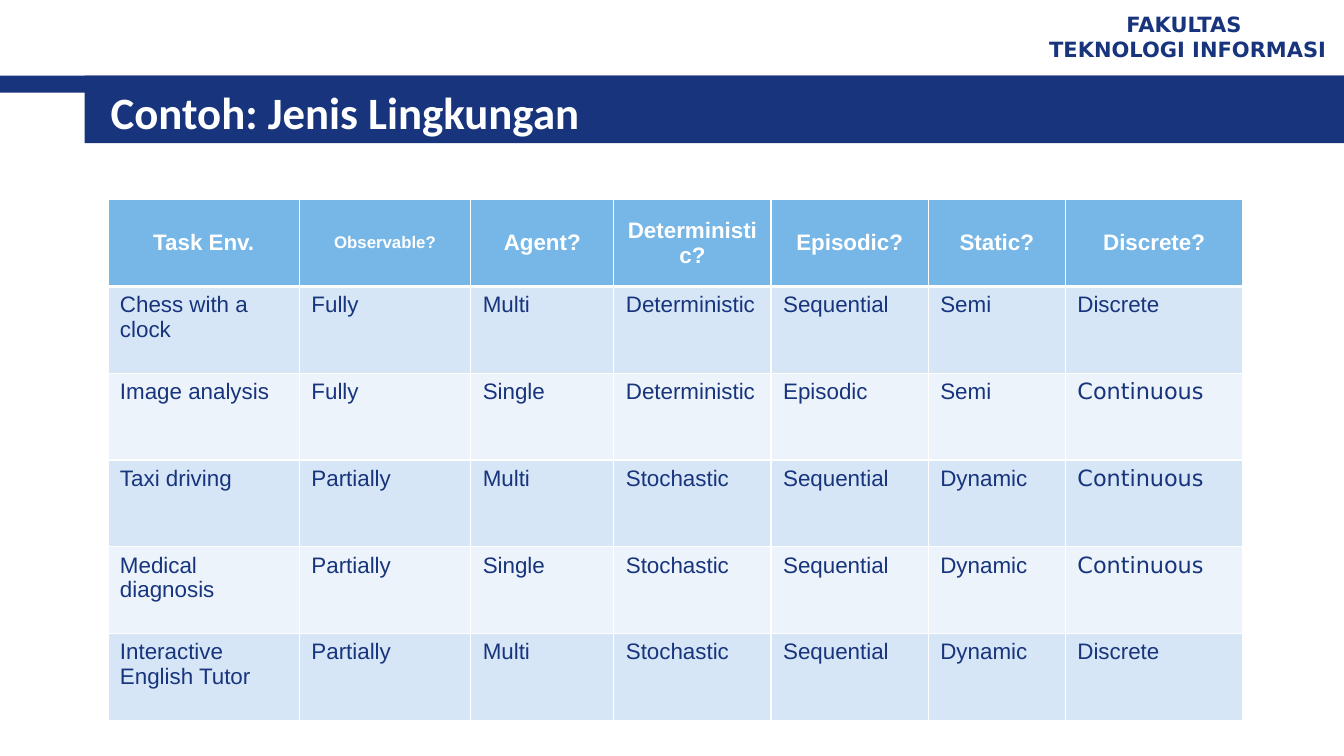
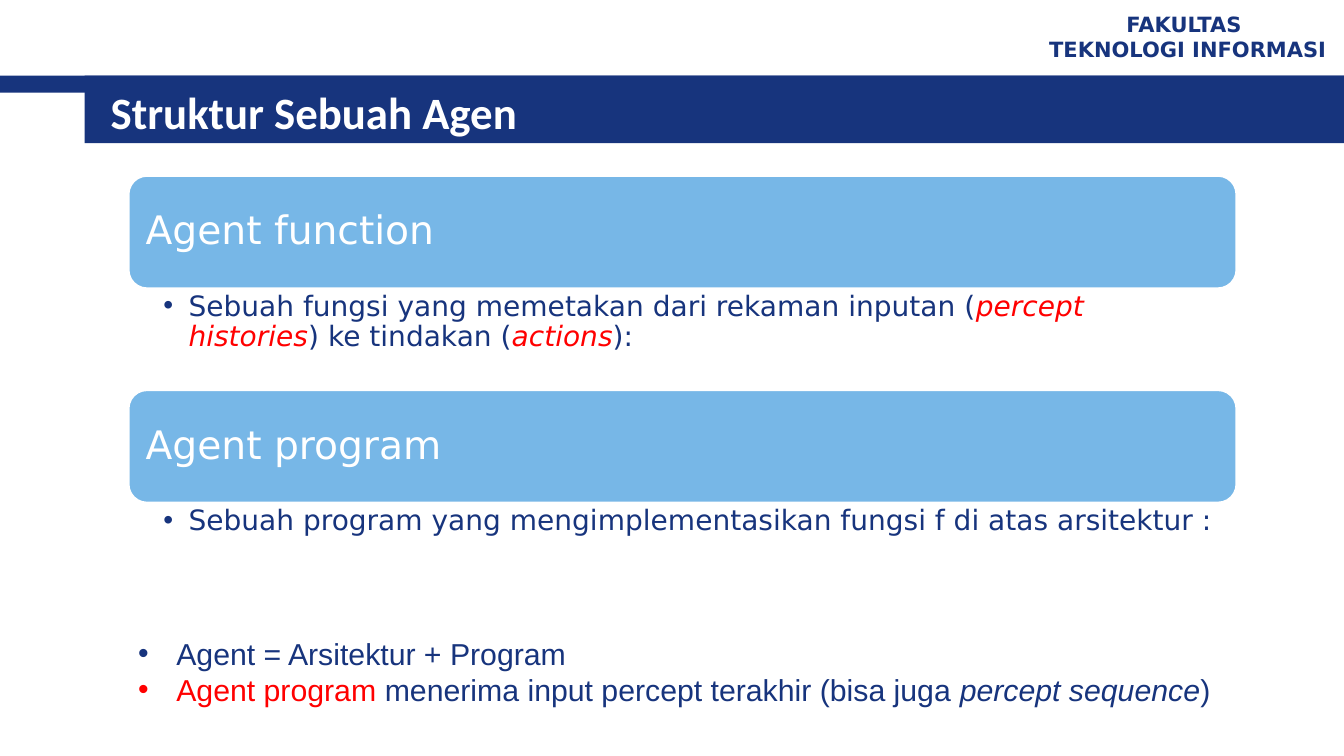
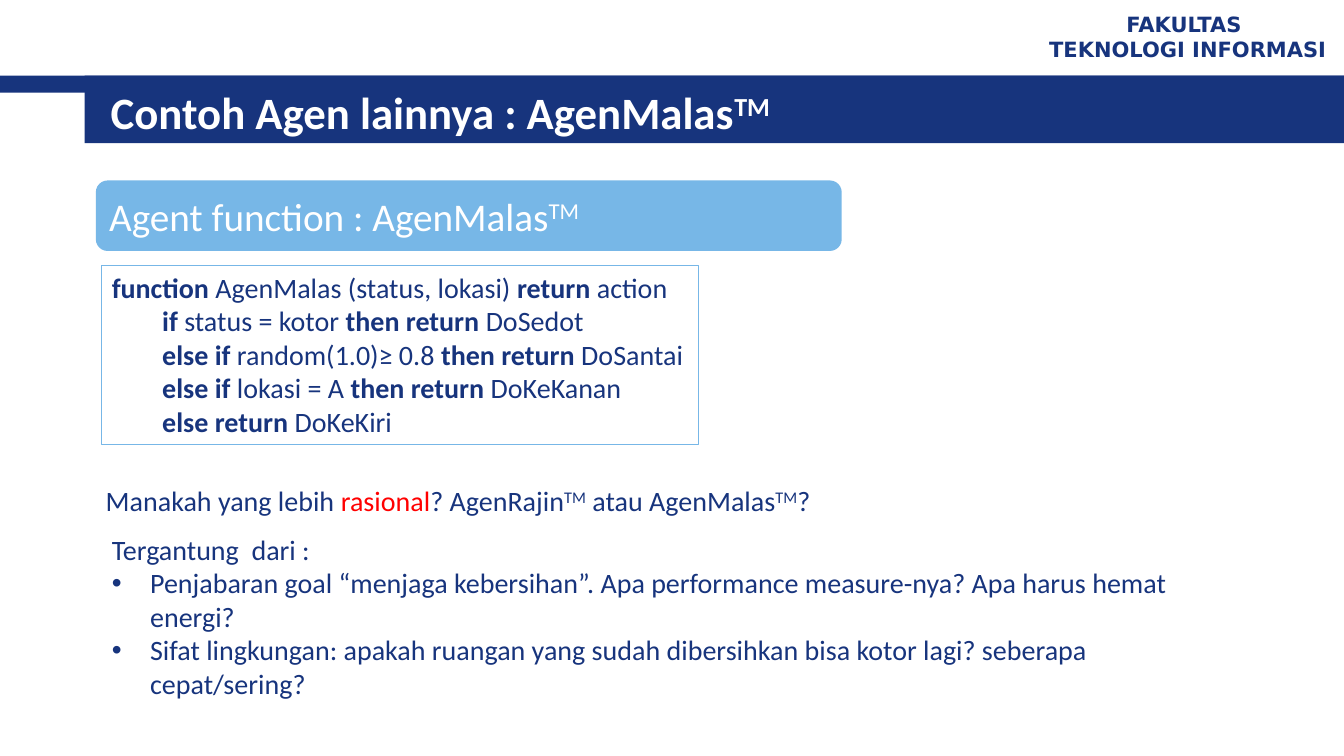
from lxml import etree
from pptx import Presentation
from pptx.dml.color import RGBColor
from pptx.enum.shapes import MSO_SHAPE
from pptx.enum.text import MSO_ANCHOR, PP_ALIGN
from pptx.oxml.ns import qn
from pptx.util import Inches, Pt

RECT, ROUND = MSO_SHAPE.RECTANGLE, MSO_SHAPE.ROUNDED_RECTANGLE
TOP, MIDDLE = MSO_ANCHOR.TOP, MSO_ANCHOR.MIDDLE
LEFT, CENTER = PP_ALIGN.LEFT, PP_ALIGN.CENTER


class Theme:
    navy, sky, white, red = "17347D", "77B7E7", "FFFFFF", "FF0000"
    rows = ("D6E6F6", "ECF3FA")
    heading, body, wide = "Calibri", "Arial", "DejaVu Sans"
    title, panel, text, note, cell, small, faculty = 32, 28, 20, 21.6, 16, 12, 15


prs = Presentation()
prs.slide_width, prs.slide_height = Inches(13.33), Inches(7.5)
X, Y = prs.slide_width / 100, prs.slide_height / 100  # one percent of the slide


def write(tf, paragraphs, font=Theme.heading, size=Theme.text, color=Theme.navy,
          bold=False, align=LEFT, spacing=None, bullet=False, indent=0, start=0):
    """Fill tf; a run is a string or (string, changes), and indents begin at paragraph start."""
    for i, runs in enumerate(paragraphs):
        p = tf.paragraphs[0] if i == 0 else tf.add_paragraph()
        p.alignment = align
        if spacing:
            p.line_spacing = spacing
        if indent and i >= start:
            pPr = p._p.get_or_add_pPr()
            pPr.set("marL", str(Inches(indent)))
            pPr.set("indent", str(-Inches(indent) if bullet else 0))
            if bullet:
                etree.SubElement(pPr, qn("a:buFont"), typeface=Theme.body)
                etree.SubElement(pPr, qn("a:buChar"), char="•")
        for run in [runs] if isinstance(runs, str) else runs:
            text, changes = (run, {}) if isinstance(run, str) else run
            r = p.add_run()
            r.text = text
            r.font.name, r.font.size = font, Pt(size)
            r.font.bold = changes.get("bold", bold)
            r.font.italic = changes.get("italic", False)
            r.font.color.rgb = RGBColor.from_string(changes.get("color", color))
            if "raised" in changes:
                r._r.get_or_add_rPr().set("baseline", "30000")


def box(s, at, paragraphs=(), shape=None, fill=None, line=None, weight=0.75,
        anchor=TOP, inset=(0.1, 0.05, 0.1, 0.05), wrap=True, **style):
    """Place a shape, or a text box if shape is None; at is in percent of the slide."""
    x, y, w, h = at
    place = [round(v) for v in (x * X, y * Y, w * X, h * Y)]
    if shape is None:
        sp = s.shapes.add_textbox(*place)
    else:
        sp = s.shapes.add_shape(shape, *place)
        sp.shadow.inherit = False
        if fill:
            sp.fill.solid()
            sp.fill.fore_color.rgb = RGBColor.from_string(fill)
        else:
            sp.fill.background()
        if line:
            sp.line.color.rgb = RGBColor.from_string(line)
            sp.line.width = Pt(weight)
        else:
            sp.line.fill.background()
    tf = sp.text_frame
    tf.word_wrap, tf.vertical_anchor = wrap, anchor
    tf.margin_left, tf.margin_top, tf.margin_right, tf.margin_bottom = map(Inches, inset)
    write(tf, paragraphs, **style)


BOLD, RAISED, RED = {"bold": True}, {"raised": True}, {"color": Theme.red}
TERM = {"color": Theme.red, "italic": True}
TM = ("TM", RAISED)

# Shared frame: bands, faculty name and title
titles = ["Contoh: Jenis Lingkungan", "Struktur Sebuah Agen",
          ["Contoh Agen lainnya : AgenMalas", TM]]
slides = []
for title in titles:
    s = prs.slides.add_slide(prs.slide_layouts[6])
    box(s, (0, 10, 100, 2.27), shape=RECT, fill=Theme.navy)
    box(s, (6.3, 10, 93.7, 8.93), shape=RECT, fill=Theme.navy)
    box(s, (76.74, 0.67, 23.26, 8.27), ["FAKULTAS ", "TEKNOLOGI INFORMASI"], anchor=MIDDLE,
        align=CENTER, font=Theme.wide, size=Theme.faculty, bold=True)
    box(s, (7.5, 10.67, 89.2, 8.27), [title], anchor=MIDDLE, size=Theme.title,
        color=Theme.white, bold=True)
    slides.append(s)
environments, structure, lazy_agent = slides

# Slide 1: table of task environments
table_rows = [
    ["Task Env.", "Observable?", "Agent?", "Deterministic?", "Episodic?", "Static?", "Discrete?"],
    ["Chess with a clock", "Fully", "Multi", "Deterministic", "Sequential", "Semi", "Discrete"],
    ["Image analysis", "Fully", "Single", "Deterministic", "Episodic", "Semi", "Continuous"],
    ["Taxi driving", "Partially", "Multi", "Stochastic", "Sequential", "Dynamic", "Continuous"],
    ["Medical diagnosis", "Partially", "Single", "Stochastic", "Sequential", "Dynamic",
     "Continuous"],
    ["Interactive English Tutor", "Partially", "Multi", "Stochastic", "Sequential", "Dynamic",
     "Discrete"],
]
col_widths = [14.25, 12.75, 10.65, 11.7, 11.7, 10.2, 13.2]
row_height = 11.49
table = environments.shapes.add_table(
    len(table_rows), len(col_widths), round(8.03 * X), round(26.4 * Y),
    round(sum(col_widths) * X), round(len(table_rows) * row_height * Y)).table
for column, width in zip(table.columns, col_widths):
    column.width = round(width * X)
for i, values in enumerate(table_rows):
    table.rows[i].height = round(row_height * Y)
    header = i == 0
    for j, value in enumerate(values):
        cell = table.cell(i, j)
        cell.margin_left = cell.margin_right = Inches(0.12)
        cell.margin_top = cell.margin_bottom = Inches(0.06)
        cell.vertical_anchor = MIDDLE if header else TOP
        cell.fill.solid()
        cell.fill.fore_color.rgb = RGBColor.from_string(
            Theme.sky if header else Theme.rows[(i - 1) % 2])
        write(cell.text_frame, [value], bold=header, align=CENTER if header else LEFT,
              font=Theme.wide if value == "Continuous" else Theme.body,
              size=Theme.small if value == "Observable?" else Theme.cell,
              color=Theme.white if header else Theme.navy)
        borders = {"L": 1, "R": 1, "T": 3 if i == 1 else 1, "B": 3 if header else 1}
        tcPr = cell._tc.get_or_add_tcPr()
        for k, (side, weight) in enumerate(borders.items()):
            ln = etree.Element(qn("a:ln" + side), w=str(Pt(weight)))
            solid = etree.SubElement(ln, qn("a:solidFill"))
            etree.SubElement(solid, qn("a:srgbClr"), val=Theme.white)
            tcPr.insert(k, ln)

# Slide 2: two panels, each with its explanation, and a closing note
panels = [
    ("Agent function",
     ["Sebuah fungsi yang memetakan dari rekaman inputan (", ("percept histories", TERM),
      ") ke tindakan (", ("actions", TERM), "):"]),
    ("Agent program",
     "Sebuah program yang mengimplementasikan fungsi f di atas arsitektur :"),
]
left, width, panel_height, detail_height = 9.53, 82.5, 15, 13.35
for i, (name, detail) in enumerate(panels):
    y = 23.2 + i * (panel_height + detail_height)
    box(structure, (left, y, width, panel_height), [name], shape=ROUND, fill=Theme.sky,
        line=Theme.white, weight=2, anchor=MIDDLE, inset=(0.12,) * 4, spacing=0.9,
        font=Theme.wide, size=Theme.panel, color=Theme.white)
    box(structure, (left, y + panel_height, width, detail_height), [detail],
        inset=(0.35, 0.03, 0.16, 0.03), font=Theme.wide, spacing=0.9, bullet=True, indent=0.25)
box(structure, (left, 83.33, width, 11.07),
    ["Agent = Arsitektur + Program",
     [("Agent program ", RED), "menerima input percept terakhir (bisa juga ",
      ("percept sequence", {"italic": True}), ")"]],
    font=Theme.body, size=Theme.note, bullet=True, indent=0.38)

# Slide 3: the lazy agent's function and the question it raises
box(lazy_agent, (7.13, 23.87, 55.5, 9.33), [["Agent function : AgenMalas", TM]], shape=ROUND,
    fill=Theme.sky, anchor=MIDDLE, size=Theme.panel, color=Theme.white)
box(lazy_agent, (7.58, 35.07, 44.4, 23.73),
    [[("function ", BOLD), "AgenMalas (status, lokasi) ", ("return", BOLD), " action"],
     [("if", BOLD), " status = kotor ", ("then return ", BOLD), "DoSedot"],
     [("else if", BOLD), " random(1.0)≥ 0.8 ", ("then return ", BOLD), "DoSantai"],
     [("else if ", BOLD), "lokasi = A ", ("then return ", BOLD), "DoKeKanan"],
     [("else return ", BOLD), "DoKeKiri"]],
    shape=RECT, line=Theme.sky, wrap=False, indent=0.5, start=1)
box(lazy_agent, (7.13, 63.33, 55.5, 5.87),
    [["Manakah yang lebih ", ("rasional", RED), "? AgenRajin", TM, " atau AgenMalas", TM, "?"]],
    wrap=False)
box(lazy_agent, (7.58, 69.73, 83.35, 23.73),
    ["Tergantung  dari :",
     "Penjabaran goal “menjaga kebersihan”. Apa performance measure-nya? "
     "Apa harus hemat energi?",
     "Sifat lingkungan: apakah ruangan yang sudah dibersihkan bisa kotor lagi? "
     "seberapa cepat/sering?"],
    bullet=True, indent=0.38, start=1)

prs.save("out.pptx")
